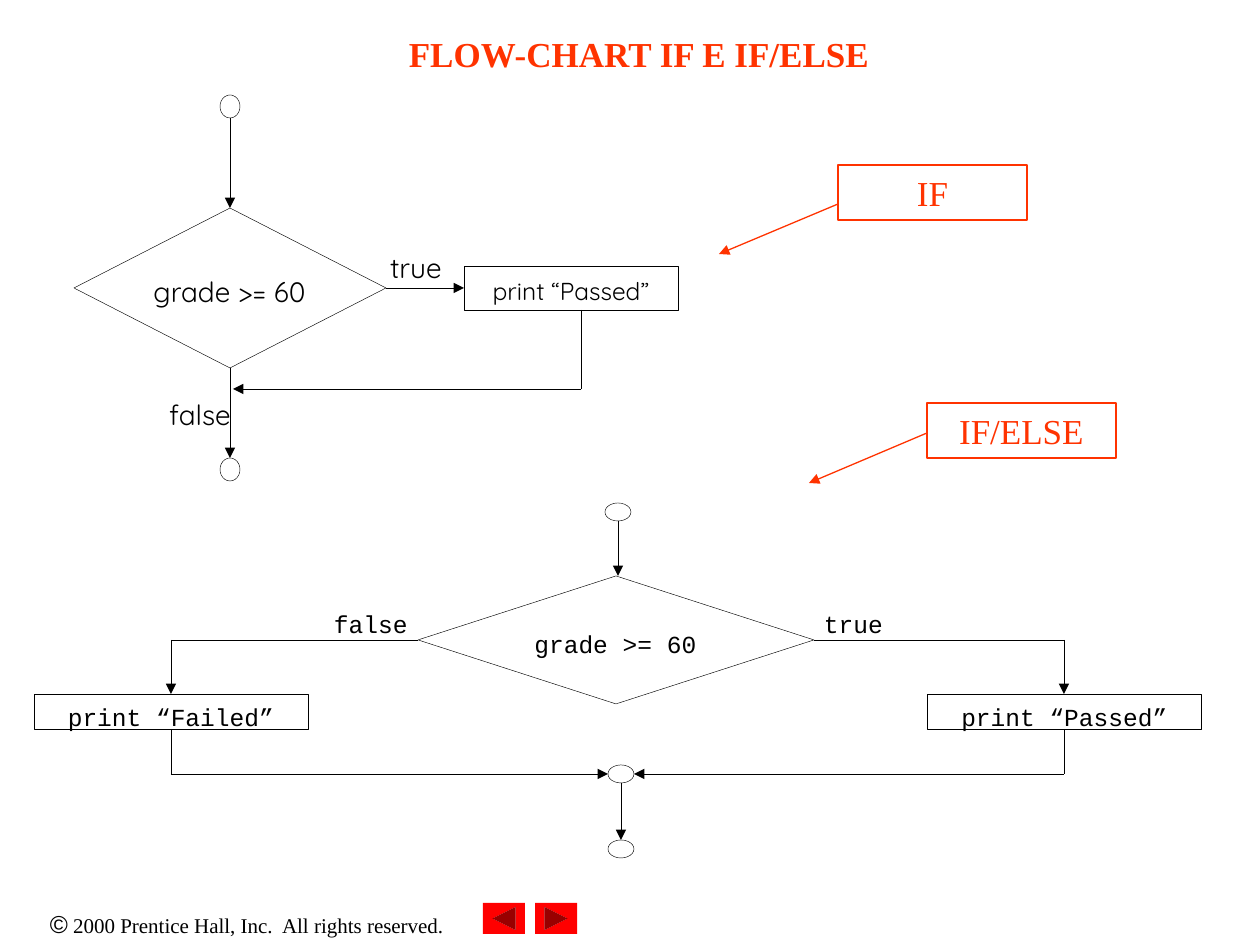
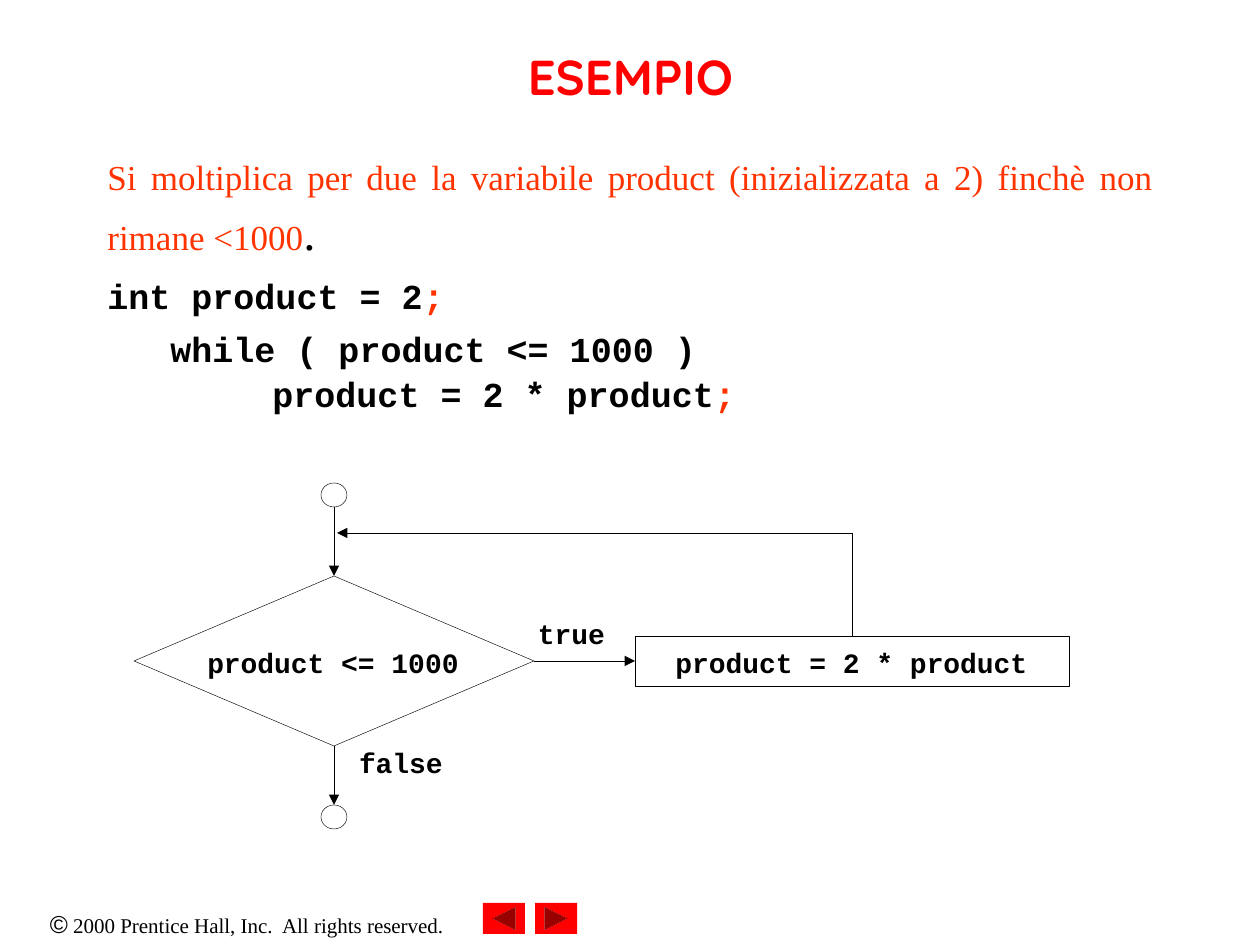
from itertools import pairwise

from lxml import etree
from pptx import Presentation, util as u
from pptx.dml.color import RGBColor
from pptx.enum import shapes, text
from pptx.oxml.ns import qn

PX = 914400 / 126
TOP, LEFT, BOTTOM, RIGHT = range(4)
KIND = shapes.MSO_SHAPE
CENTER, JUSTIFY = text.PP_ALIGN.CENTER, text.PP_ALIGN.JUSTIFY


class Theme:
    ink, paper, accent, red = "000000", "FFFFFF", "FF3300", "FF0000"
    serif, sans, mono, symbol = "Times New Roman", "Quicksand", "Courier New", "Arial"
    small, code, label, body, title = 12, 14, 16, 20, 28
    hairline, rule = 0.25, 0.75


# Content: runs are (text, font, size, colour, bold)
COPYRIGHT = [
    ("©", Theme.symbol, Theme.code, Theme.ink, False),
    (" 2000 Prentice Hall, Inc.  All rights reserved.", Theme.serif, Theme.small, Theme.ink, False),
]
BUTTONS = [((483, 903, 42, 31), 180), ((535, 903, 42, 31), 0)]

IF_TITLE = ("FLOW-CHART IF E IF/ELSE", Theme.serif, Theme.body, Theme.accent, True)
LOOP_TITLE = ("ESEMPIO", Theme.sans, Theme.title, Theme.red, True)

# Callouts: caption, box, arrow start, arrow end
CALLOUTS = [
    ("IF", (838, 165, 189, 55), (838, 204), (719, 254)),
    ("IF/ELSE", (927, 403, 189, 55), (927, 433), (809, 483)),
]

# Flow charts: a path is a list of points or (node, side) pairs, with its arrow at the end
IF_CHART = {
    "font": (Theme.sans, False),
    "nodes": {
        "start": (KIND.OVAL, 220, 95, 20, 23),
        "test": (KIND.DIAMOND, 74, 208, 312, 160),
        "passed": (KIND.RECTANGLE, 464, 266, 214, 44),
        "end": (KIND.OVAL, 220, 458, 20, 23),
    },
    "paths": [
        [("start", BOTTOM), ("test", TOP)],
        [("test", RIGHT), ("passed", LEFT)],
        [("test", BOTTOM), ("end", TOP)],
        [(581, 310), (581, 389), (233, 389)],
    ],
    "labels": [
        ("true", (390, 251, 70, 45), Theme.label, None),
        ("false", (169, 398, 84, 45), Theme.label, None),
        ("grade >= 60", (142, 275, 175, 34), Theme.label, CENTER),
        ("print “Passed”", (478, 276, 186, 32), Theme.code, CENTER),
    ],
}

IF_ELSE_CHART = {
    "font": (Theme.mono, False),
    "nodes": {
        "start": (KIND.OVAL, 605, 503, 26, 18),
        "test": (KIND.DIAMOND, 418, 576, 396, 128),
        "failed": (KIND.RECTANGLE, 34, 694, 274, 35),
        "passed": (KIND.RECTANGLE, 927, 694, 274, 35),
        "merge": (KIND.OVAL, 608, 765, 26, 18),
        "end": (KIND.OVAL, 608, 840, 26, 18),
    },
    "paths": [
        [("start", BOTTOM), (618, 576)],
        [("test", LEFT), (171, 640), ("failed", TOP)],
        [("test", RIGHT), (1064, 640), ("passed", TOP)],
        [("failed", BOTTOM), (171, 774), ("merge", LEFT)],
        [("passed", BOTTOM), (1064, 774), ("merge", RIGHT)],
        [("merge", BOTTOM), ("end", TOP)],
    ],
    "labels": [
        ("false", (334, 609, 107, 35), Theme.code, None),
        ("true", (824, 609, 88, 35), Theme.code, None),
        ("grade >= 60", (504, 629, 223, 28), Theme.code, CENTER),
        ("print “Failed”", (62, 702, 218, 25), Theme.code, CENTER),
        ("print “Passed”", (953, 702, 223, 25), Theme.code, CENTER),
    ],
}

WHILE_CHART = {
    "font": (Theme.mono, True),
    "nodes": {
        "start": (KIND.OVAL, 321, 483, 26, 24),
        "test": (KIND.DIAMOND, 134, 576, 400, 170),
        "double": (KIND.RECTANGLE, 635, 636, 434, 50),
        "end": (KIND.OVAL, 321, 805, 26, 24),
    },
    "paths": [
        [("start", BOTTOM), ("test", TOP)],
        [("test", RIGHT), ("double", LEFT)],
        [("test", BOTTOM), ("end", TOP)],
        [("double", TOP), (852, 533), (337, 533)],
    ],
    "labels": [
        ("product <= 1000", (181, 646, 304, 37), Theme.label, CENTER),
        ("product = 2 * product", (643, 646, 417, 39), Theme.label, CENTER),
        ("true", (538, 617, 88, 47), Theme.label, None),
        ("false", (359, 746, 108, 47), Theme.label, None),
    ],
}

SEMICOLON = (";", Theme.mono, Theme.body, Theme.accent, True)


def code_run(words):
    return (words, Theme.mono, Theme.body, Theme.ink, True)


# Exercise: (alignment, space before in pt, runs), None breaks the line
EXERCISE = [
    (JUSTIFY, 0, [
        ("Si moltiplica per due la variabile product (inizializzata a 2) finchè non rimane <1000",
         Theme.serif, Theme.body, Theme.accent, False),
        (".", Theme.serif, Theme.title, Theme.ink, False)]),
    (JUSTIFY, 7, [code_run("int product = 2"), SEMICOLON]),
    (None, 5, [code_run("while ( product <= 1000 )"), None,
               code_run("\tproduct = 2 * product"), SEMICOLON]),
]


# Drawing helpers
def emu(*lengths):
    return [round(n * PX) for n in lengths]


def rgb(colour):
    return RGBColor.from_string(colour)


def add_runs(p, runs, align=None):
    p.alignment = align
    for run in runs:
        if run is None:
            p.add_line_break()
            continue
        r = p.add_run()
        r.text, r.font.name, size, colour, r.font.bold = run
        r.font.size = u.Pt(size)
        r.font.color.rgb = rgb(colour)


def prepare_frame(sp, inset=True, anchor=text.MSO_ANCHOR.TOP):
    tf = sp.text_frame
    tf.word_wrap = True
    tf.vertical_anchor = anchor
    tf.margin_left = tf.margin_right = u.Inches(0.1 if inset else 0)
    tf.margin_top = tf.margin_bottom = u.Inches(0.05 if inset else 0)
    return tf


def add_text(s, box, runs, align=CENTER, **frame):
    tf = prepare_frame(s.shapes.add_textbox(*emu(*box)), **frame)
    add_runs(tf.paragraphs[0], runs, align)


def add_shape(s, kind, box, fill=None, line=None, width=Theme.hairline):
    sp = s.shapes.add_shape(kind, *emu(*box))
    sp.shadow.inherit = False
    if fill:
        sp.fill.solid()
        sp.fill.fore_color.rgb = rgb(fill)
    else:
        sp.fill.background()
    if line:
        sp.line.color.rgb = rgb(line)
        sp.line.width = u.Pt(width)
    else:
        sp.line.fill.background()
    return sp


def add_line(s, start, end, colour=Theme.ink, width=Theme.hairline, arrow=True):
    cx = s.shapes.add_connector(shapes.MSO_CONNECTOR.STRAIGHT, *emu(*start, *end))
    cx.line.color.rgb = rgb(colour)
    cx.line.width = u.Pt(width)
    if arrow:
        etree.SubElement(cx.line._get_or_add_ln(), qn("a:tailEnd"), type="triangle")
    etree.SubElement(cx._element.spPr, qn("a:effectLst"))
    return cx


def add_chart_flow(s, chart):
    nodes = chart["nodes"]
    drawn = {
        name: add_shape(s, kind, box, Theme.paper if kind == KIND.DIAMOND else None, Theme.ink)
        for name, (kind, *box) in nodes.items()
    }

    def locate(stop):
        if stop[0] not in nodes:
            return stop
        _, x, y, w, h = nodes[stop[0]]
        return [(x + w / 2, y), (x, y + h / 2), (x + w / 2, y + h), (x + w, y + h / 2)][stop[1]]

    def can_join(stop):
        return stop[0] in nodes and nodes[stop[0]][0] != KIND.OVAL

    for stops in chart["paths"]:
        for start, end in pairwise(stops):
            cx = add_line(s, locate(start), locate(end), arrow=end is stops[-1])
            if can_join(start):
                cx.begin_connect(drawn[start[0]], start[1])
            if can_join(end):
                cx.end_connect(drawn[end[0]], end[1])

    font, bold = chart["font"]
    for words, box, size, align in chart["labels"]:
        add_text(s, box, [(words, font, size, Theme.ink, bold)], align, inset=False)


def add_slide(prs, title, title_box):
    s = prs.slides.add_slide(prs.slide_layouts[6])
    s.background.fill.solid()
    s.background.fill.fore_color.rgb = rgb(Theme.paper)
    # Footer
    add_text(s, (0, 903, 494, 43), COPYRIGHT)
    for box, turn in BUTTONS:
        add_shape(s, KIND.ACTION_BUTTON_FORWARD_OR_NEXT, box, Theme.red).rotation = turn
    # Title
    add_text(s, title_box, [title], anchor=text.MSO_ANCHOR.MIDDLE)
    return s


def add_callout(s, caption, box, start, end):
    sp = add_shape(s, KIND.RECTANGLE, box, line=Theme.accent, width=Theme.rule)
    run = (caption, Theme.serif, Theme.body, Theme.accent, False)
    add_runs(prepare_frame(sp).paragraphs[0], [run], CENTER)
    add_line(s, start, end, Theme.accent, Theme.rule)


def add_exercise(s):
    tf = prepare_frame(s.shapes.add_textbox(*emu(95, 147, 1071, 266)))
    for i, (align, before, runs) in enumerate(EXERCISE):
        p = tf.add_paragraph() if i else tf.paragraphs[0]
        p.line_spacing = 1.06
        p.space_before = u.Pt(before)
        add_runs(p, runs, align)
    # The loop is indented, its body starts at a tab stop
    pPr = p._p.get_or_add_pPr()
    pPr.set("marL", str(u.Inches(0.81)))
    pPr.set("indent", str(u.Inches(-0.31)))
    tabs = etree.SubElement(pPr, qn("a:tabLst"))
    etree.SubElement(tabs, qn("a:tab"), pos=str(u.Inches(1)), algn="l")


def main():
    prs = Presentation()
    prs.slide_width, prs.slide_height = emu(1260, 945)

    # Slide 1: if and if/else
    s = add_slide(prs, IF_TITLE, (292, 26, 694, 55))
    add_chart_flow(s, IF_CHART)
    add_chart_flow(s, IF_ELSE_CHART)
    for callout in CALLOUTS:
        add_callout(s, *callout)

    # Slide 2: while loop
    s = add_slide(prs, LOOP_TITLE, (95, 26, 1071, 100))
    add_exercise(s)
    add_chart_flow(s, WHILE_CHART)

    prs.save("out.pptx")


if __name__ == "__main__":
    main()
